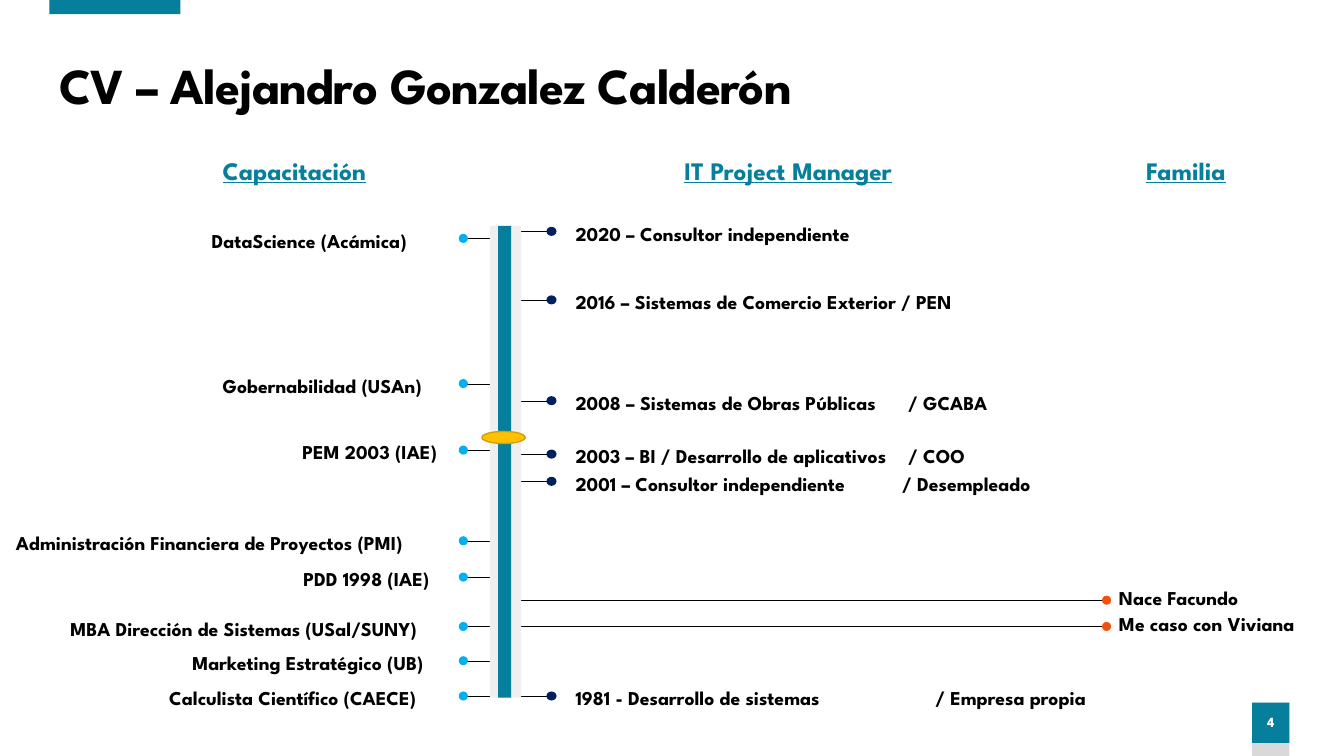
from lxml.etree import SubElement
from pptx import Presentation
from pptx.dml.color import RGBColor
from pptx.enum.shapes import MSO_CONNECTOR, MSO_SHAPE
from pptx.enum.text import MSO_ANCHOR, PP_ALIGN
from pptx.oxml.ns import qn
from pptx.util import Pt

PX = 9144  # EMU per px, 100 px to the inch

TEAL = RGBColor(0x06, 0x7F, 0x9C)
SKY = RGBColor(0x00, 0xB0, 0xF0)
NAVY = RGBColor(0x00, 0x20, 0x60)
ORANGE = RGBColor(0xF1, 0x50, 0x0F)
GOLD = RGBColor(0xFF, 0xC0, 0x00)
OCHRE = RGBColor(0xD2, 0xA0, 0x00)
PALE = RGBColor(0xEF, 0xEF, 0xEF)
GRAY = RGBColor(0xD9, 0xD9, 0xD9)
BLACK = RGBColor(0x00, 0x00, 0x00)
WHITE = RGBColor(0xFF, 0xFF, 0xFF)

LABEL = {"size": Pt(14)}
HEAD = {"size": Pt(18), "underline": True}

# Line height on the timeline, label left edge, label
COURSES = [
    (237, 200, "DataScience (Acámica)"),
    (381, 211, "Gobernabilidad (USAn)"),
    (447, 290, "PEM 2003 (IAE)"),
    (537, 6, "Administración Financiera de Proyectos (PMI)"),
    (573, 291, "PDD 1998 (IAE)"),
    (622, 60, "MBA Dirección de Sistemas (USal/SUNY)"),
    (656, 181, "Marketing Estratégico (UB)"),
    (691, 158, "Calculista Científico (CAECE)"),
]
# Line height, label, tab stop
JOBS = [
    (230, "2020 – Consultor independiente", None),
    (298, "2016 – Sistemas de Comercio Exterior / PEN", None),
    (398, "2008 – Sistemas de Obras Públicas\t/ GCABA", 330),
    (451, "2003 – BI / Desarrollo de aplicativos\t/ COO", 330),
    (478, "2001 – Consultor independiente\t/ Desempleado", 324),
    (691, "1981 - Desarrollo de sistemas\t/ Empresa propia", 357),
]
FAMILY = [(596, "Nace Facundo"), (622, "Me caso con Viviana")]
HEADS = [(211, 190, "Capacitación"), (669, 248, "IT Project Manager"),
         (1127, 130, "Familia")]


class Page:
    def __init__(self, deck, face):
        self.slide = deck.slides.add_slide(deck.slide_layouts[6])
        self.shapes = self.slide.shapes
        self.face = face

    def shape(self, kind, x, y, w, h, fill, edge=None):
        item = self.shapes.add_shape(kind, x * PX, y * PX, w * PX, h * PX)
        item.shadow.inherit = False
        item.fill.solid()
        item.fill.fore_color.rgb = fill
        if edge is None:
            item.line.fill.background()
        else:
            item.line.color.rgb = edge
            item.line.width = Pt(1)
        return item

    def rect(self, *args):
        return self.shape(MSO_SHAPE.RECTANGLE, *args)

    def dot(self, *args):
        return self.shape(MSO_SHAPE.OVAL, *args)

    def line(self, left, right, y):
        item = self.shapes.add_connector(
            MSO_CONNECTOR.STRAIGHT, left * PX, y * PX, right * PX, y * PX)
        item.line.color.rgb = BLACK
        item.line.width = Pt(0.75)
        SubElement(item._element.spPr, qn("a:effectLst"))

    def label(self, frame, words, style, color=BLACK, tab=None):
        frame.word_wrap = True
        para = frame.paragraphs[0]
        if tab:
            stops = SubElement(para._p.get_or_add_pPr(), qn("a:tabLst"))
            SubElement(stops, qn("a:tab"), pos=str(tab * PX), algn="l")
        run = para.add_run()
        run.text = words
        for key, value in {"name": self.face, "bold": True, **style}.items():
            setattr(run.font, key, value)
        run.font.color.rgb = color
        return para, run

    def text(self, x, y, w, h, *args):
        item = self.shapes.add_textbox(x * PX, y * PX, w * PX, h * PX)
        return item.text_frame, *self.label(item.text_frame, *args)


def main():
    deck = Presentation()
    deck.slide_width, deck.slide_height = 1333 * PX, 750 * PX
    page = Page(deck, "League Spartan")

    # Page number and top accent
    page.rect(1242, 697, 37, 53, GRAY)
    frame = page.rect(1242, 697, 37, 40, TEAL).text_frame
    frame.margin_left = frame.margin_right = 0
    frame.vertical_anchor = MSO_ANCHOR.MIDDLE
    para, _ = page.label(frame, "4", {"size": Pt(10)}, WHITE)
    para.alignment = PP_ALIGN.CENTER
    para.line_spacing = 0.9
    page.rect(49, 0, 130, 14, TEAL)

    # Title
    frame, para, run = page.text(
        49, 55, 1222, 65, "CV – Alejandro Gonzalez Calderón", {"size": Pt(36)})
    frame.vertical_anchor = MSO_ANCHOR.MIDDLE
    para.line_spacing = 0.9
    run.font._element.set("spc", "-60")

    # Column headings
    for x, w, words in HEADS:
        page.text(x, 149, w, 40, words, HEAD, TEAL)

    # Training, left of the timeline
    for y, x, words in COURSES:
        page.line(461, 498, y)
        page.dot(455, y - 5, 9, 9, SKY)
        page.text(x, y - 15, 445 - x, 30, words, LABEL)

    # Jobs, right of the timeline
    for y, words, tab in JOBS:
        page.line(507, 545, y)
        page.dot(542, y - 5, 10, 9, NAVY)
        page.text(561, y - 15, 540, 34, words, LABEL, BLACK, tab)

    # Family, far right
    for y, words in FAMILY:
        page.line(507, 1096, y)
        page.dot(1093, y - 5, 9, 9, ORANGE)
        page.text(1100, y - 20, 223, 34, words, LABEL)

    # Timeline bar and marker
    page.rect(486, 224, 31, 468, PALE)
    page.rect(494, 224, 13, 468, TEAL)
    page.dot(478, 428, 43, 12, GOLD, OCHRE)

    deck.save("out.pptx")


if __name__ == "__main__":
    main()
